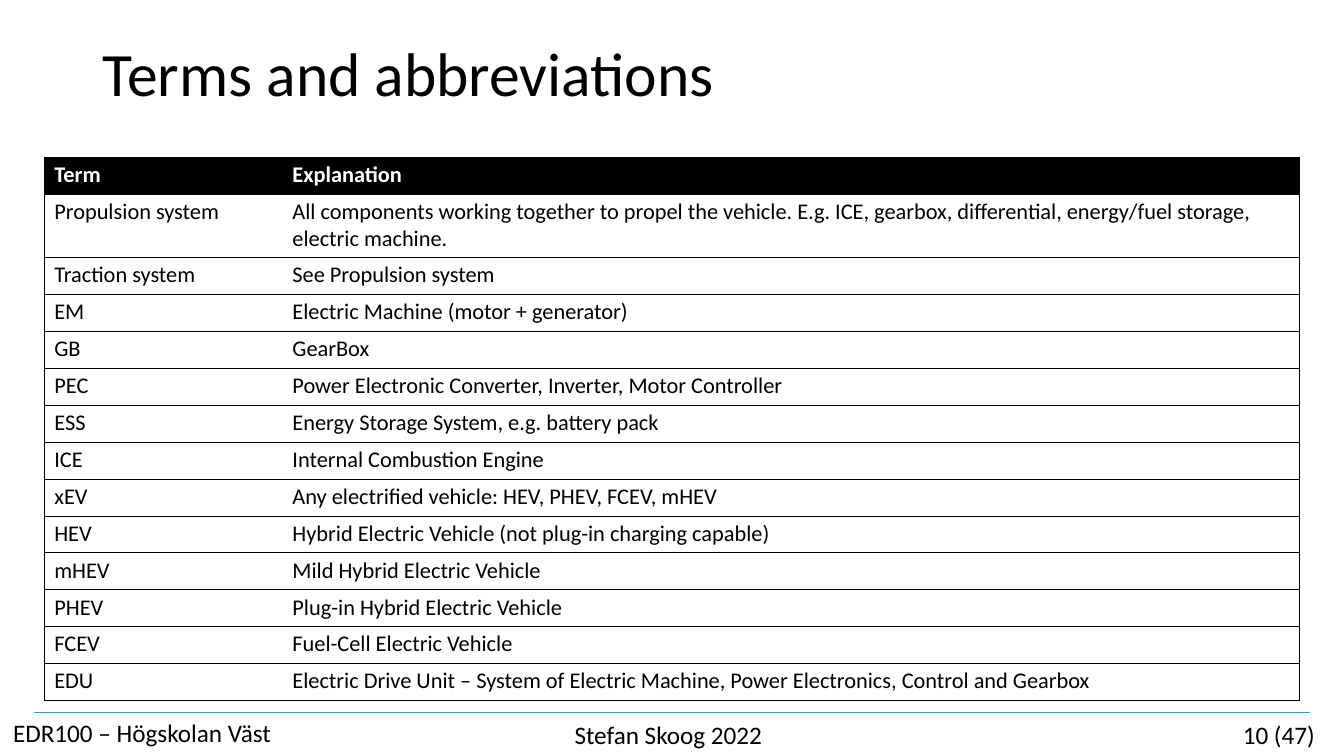
from dataclasses import dataclass

from lxml import etree
from pptx import Presentation
from pptx import util as u
from pptx.dml.color import RGBColor
from pptx.enum import shapes, text
from pptx.oxml import ns

BLACK = RGBColor(0x00, 0x00, 0x00)
WHITE = RGBColor(0xFF, 0xFF, 0xFF)
CYAN = RGBColor(0x03, 0xAB, 0xDD)
FONT = "Calibri"
TITLE_ONLY = 5
ROW_HEIGHT = 0.93
TALL_ROW_HEIGHT = 1.6
COLUMN_WIDTHS = (5.33, 26.29)
CELL_INDENTS = (0.25, 0.92)
BORDER_WIDTH = u.Pt(0.5)


@dataclass(frozen=True)
class Entry:
    term: str
    explanation: str


@dataclass(frozen=True)
class FooterPart:
    wording: str
    left: float
    top: float
    width: float
    height: float
    indent: float


GLOSSARY = [
    Entry("Term", "Explanation"),
    Entry(
        "Propulsion system",
        "All components working together to propel the vehicle. E.g. ICE, gearbox, "
        "differential, energy/fuel storage,\nelectric machine.",
    ),
    Entry("Traction system", "See Propulsion system"),
    Entry("EM", "Electric Machine (motor + generator)"),
    Entry("GB", "GearBox"),
    Entry("PEC", "Power Electronic Converter, Inverter, Motor Controller"),
    Entry("ESS", "Energy Storage System, e.g. battery pack"),
    Entry("ICE", "Internal Combustion Engine"),
    Entry("xEV", "Any electrified vehicle: HEV, PHEV, FCEV, mHEV"),
    Entry("HEV", "Hybrid Electric Vehicle (not plug-in charging capable)"),
    Entry("mHEV", "Mild Hybrid Electric Vehicle"),
    Entry("PHEV", "Plug-in Hybrid Electric Vehicle"),
    Entry("FCEV", "Fuel-Cell Electric Vehicle"),
    Entry("EDU", "Electric Drive Unit – System of Electric Machine, Power Electronics, Control and Gearbox"),
]

FOOTER = [
    FooterPart("EDR100 – Högskolan Väst", 0.3, 18.21, 6.6, 0.71, 0.03),
    FooterPart("Stefan Skoog 2022", 14.45, 18.24, 4.95, 0.71, 0.03),
    FooterPart("10 (47)", 31.22, 18.24, 1.96, 0.71, 0.1),
]


def assign(target, values: dict) -> None:
    for name, value in values.items():
        setattr(target, name, value)


def format_text(frame, size: float, color: RGBColor, bold: bool = False) -> None:
    for paragraph in frame.paragraphs:
        paragraph.alignment = text.PP_ALIGN.LEFT
        assign(paragraph.font, {"name": FONT, "size": u.Pt(size), "bold": bold})
        paragraph.font.color.rgb = color


def frame_margins(left: float, top: float = 0) -> dict:
    return {
        "margin_left": u.Cm(left),
        "margin_top": u.Cm(top),
        "margin_right": 0,
        "margin_bottom": 0,
        "vertical_anchor": text.MSO_ANCHOR.TOP,
    }


def place(shape, left: float, top: float, width: float, height: float) -> None:
    assign(shape, {"left": u.Cm(left), "top": u.Cm(top), "width": u.Cm(width), "height": u.Cm(height)})


def draw_title(slide) -> None:
    title = slide.shapes.title
    place(title, 1.45, 0.86, 30.99, 1.93)
    title.text_frame.text = "Terms and abbreviations"
    assign(title.text_frame, frame_margins(1.14, 0.03))
    assign(title.text_frame, {"word_wrap": True, "auto_size": text.MSO_AUTO_SIZE.NONE})
    format_text(title.text_frame, 44, BLACK)


def draw_footer_rule(slide) -> None:
    rule = slide.shapes.add_connector(
        shapes.MSO_CONNECTOR.STRAIGHT, u.Cm(0.86), u.Cm(17.96), u.Cm(33.02), u.Cm(17.96)
    )
    rule.line.color.rgb = CYAN
    rule.line.width = u.Pt(1)
    etree.SubElement(rule._element.spPr, ns.qn("a:effectLst"))


def draw_footer_part(slide, part: FooterPart) -> None:
    box = slide.shapes.add_textbox(0, 0, 0, 0)
    place(box, part.left, part.top, part.width, part.height)
    box.text_frame.text = part.wording
    assign(box.text_frame, frame_margins(part.indent))
    box.text_frame.word_wrap = True
    box.text_frame.paragraphs[0].line_spacing = u.Pt(18.1)
    format_text(box.text_frame, 18, BLACK)


def draw_borders(cell, visible: dict[str, bool]) -> None:
    properties = cell._tc.get_or_add_tcPr()
    for side, shown in visible.items():
        border = etree.SubElement(properties, ns.qn(f"a:ln{side}"), w=str(BORDER_WIDTH))
        if shown:
            fill = etree.SubElement(border, ns.qn("a:solidFill"))
            etree.SubElement(fill, ns.qn("a:srgbClr"), val=str(BLACK))
        else:
            etree.SubElement(border, ns.qn("a:noFill"))


def draw_cell(cell, wording: str, column: int, is_header: bool) -> None:
    cell.text = wording
    assign(cell, frame_margins(CELL_INDENTS[column], 0.1))
    draw_borders(cell, {"L": column == 0, "R": column == 1, "T": True, "B": True})
    if is_header:
        cell.fill.solid()
        cell.fill.fore_color.rgb = BLACK
    else:
        cell.fill.background()
    format_text(cell.text_frame, 16, WHITE if is_header else BLACK, is_header)


def draw_glossary(slide, entries: list[Entry]) -> None:
    heights = [TALL_ROW_HEIGHT if "\n" in entry.explanation else ROW_HEIGHT for entry in entries]
    glossary = slide.shapes.add_table(
        len(entries), len(COLUMN_WIDTHS), u.Cm(1.12), u.Cm(3.96), u.Cm(sum(COLUMN_WIDTHS)), u.Cm(sum(heights))
    ).table
    assign(glossary, {"first_row": False, "horz_banding": False})
    for column, width in zip(glossary.columns, COLUMN_WIDTHS):
        column.width = u.Cm(width)
    for index, (entry, height) in enumerate(zip(entries, heights)):
        glossary.rows[index].height = u.Cm(height)
        for column, wording in enumerate((entry.term, entry.explanation)):
            draw_cell(glossary.cell(index, column), wording, column, index == 0)


def main() -> None:
    deck = Presentation()
    assign(deck, {"slide_width": u.Cm(33.87), "slide_height": u.Cm(19.05)})
    slide = deck.slides.add_slide(deck.slide_layouts[TITLE_ONLY])
    draw_footer_rule(slide)
    draw_title(slide)
    for part in FOOTER:
        draw_footer_part(slide, part)
    draw_glossary(slide, GLOSSARY)
    deck.save("out.pptx")


if __name__ == "__main__":
    main()
